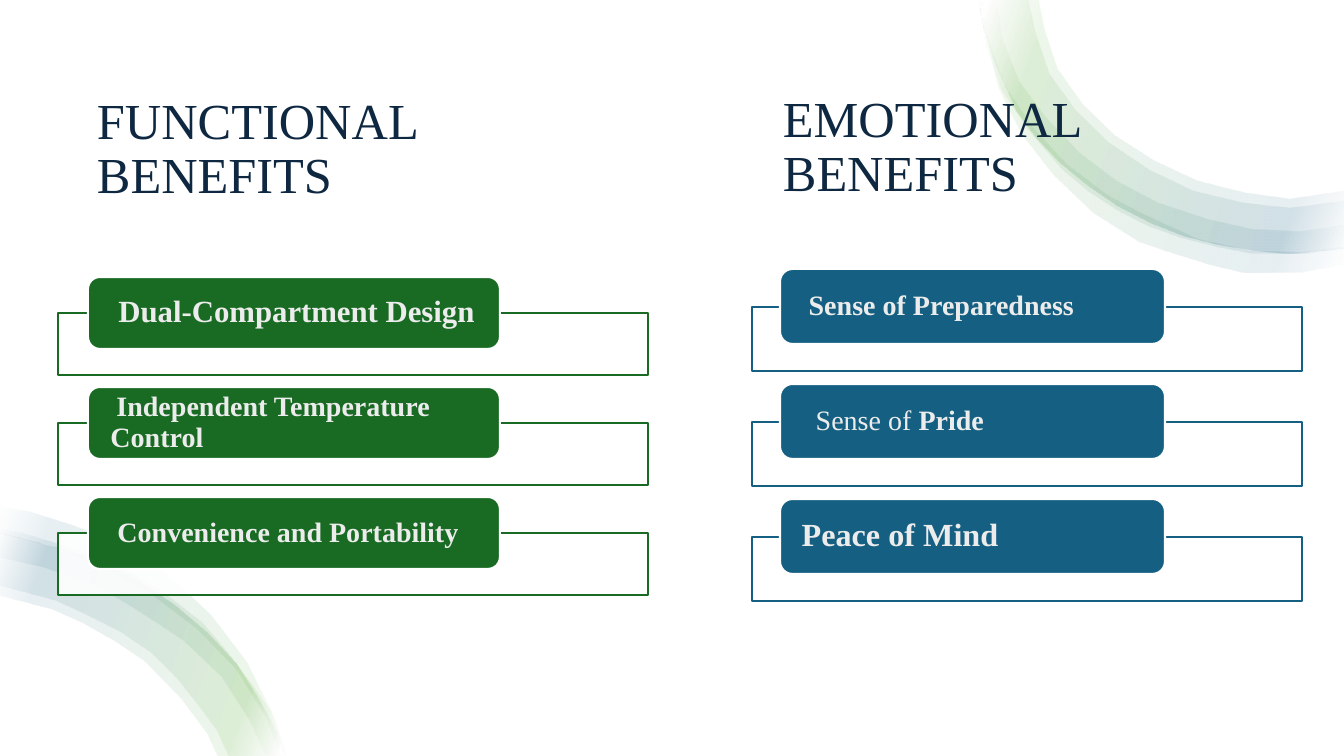
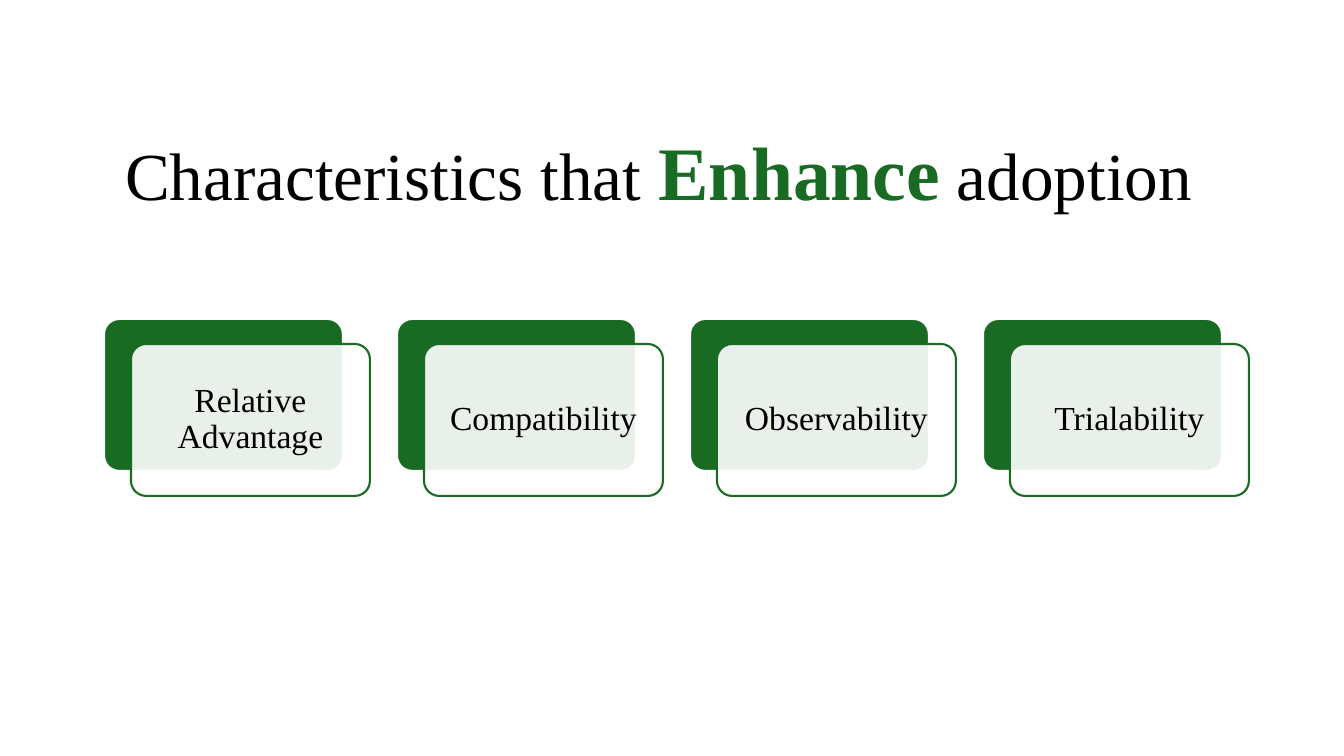
import math

from pptx import Presentation
from pptx import util as u
from pptx.dml.color import RGBColor
from pptx.enum import shapes, text
from pptx.oxml import parse_xml
from pptx.oxml.ns import nsdecls, qn

PX = 914400 / 100.8
WIDTH, HEIGHT = 1344, 756
GREEN, BLUE, NAVY = "196B24", "156082", "0E2841"
WHITE, PALE, BLACK = "FFFFFF", "ECECEC", "000000"
FONT = "Times New Roman"
BAND_STOPS = [(2, WHITE), (16, "4EA72E"), (85, BLUE), (100, WHITE)]
BAND_ALPHA = 10
BOX_ALPHA = 90
CHORD = 40


def rgb(code):
    return RGBColor.from_string(code)


def write_text(shape, runs, color=BLACK, size=24, inset=(10, 5), indent=0,
               align=text.PP_ALIGN.LEFT):
    frame = shape.text_frame
    frame.word_wrap = True
    frame.vertical_anchor = text.MSO_ANCHOR.MIDDLE
    frame.margin_left = frame.margin_right = round(inset[0] * PX)
    frame.margin_top = frame.margin_bottom = round(inset[1] * PX)
    paragraph = frame.paragraphs[0]
    paragraph.alignment = align
    paragraph.line_spacing = 0.9
    paragraph._p.get_or_add_pPr().set("indent", str(round(indent * PX)))
    for words, changes in runs:
        run = paragraph.add_run()
        run.text = words
        run.font.name = FONT
        run.font.size = u.Pt(changes.get("size", size))
        run.font.bold = changes.get("bold", False)
        run.font.color.rgb = rgb(changes.get("color", color))


presentation = Presentation()
presentation.slide_width = round(WIDTH * PX)
presentation.slide_height = round(HEIGHT * PX)
blank = presentation.slide_layouts[6]
benefits = presentation.slides.add_slide(blank)
adoption = presentation.slides.add_slide(blank)

top_edge = [(981, 0), (982, 20), (1017, 111), (1088, 185), (1183, 235),
            (1289, 253), (1344, 247)]
bottom_edge = [(284, 756), (278, 736), (236, 664), (174, 605), (97, 561),
               (0, 534)]
top_bands = [
    (top_edge,
     [(1344, 190), (1289, 198), (1197, 180), (1115, 135), (1058, 69),
      (1039, 0)]),
    (top_edge,
     [(1344, 200), (1289, 207), (1193, 190), (1109, 142), (1050, 74),
      (1029, 0)]),
    ([(981, 0), (986, 43), (1002, 90), (1062, 169), (1148, 226),
      (1249, 253), (1301, 254), (1344, 248)],
     [(1344, 225), (1299, 231), (1252, 229), (1159, 203), (1080, 153),
      (1020, 82), (1003, 39), (997, 0)]),
    ([(979, 0), (999, 88), (1022, 134), (1054, 175), (1094, 213),
      (1140, 242), (1246, 273), (1302, 272), (1344, 264)],
     [(1344, 247), (1300, 252), (1249, 250), (1199, 239), (1108, 195),
      (1067, 164), (1033, 127), (1005, 85), (988, 37), (982, 0)]),
]
bottom_bands = [
    ([(287, 756), (273, 714), (247, 662), (212, 616), (167, 575), (116, 542),
      (29, 512), (0, 508)],
     [(0, 534), (50, 546), (103, 566), (152, 595), (197, 629), (236, 669),
      (266, 717), (281, 756)]),
    (bottom_edge,
     [(0, 596), (53, 610), (144, 661), (207, 734), (217, 756)]),
    ([(285, 756), (270, 711), (202, 623), (157, 588), (107, 560), (24, 534),
      (0, 530)],
     [(0, 558), (44, 568), (95, 586), (183, 641), (221, 677), (249, 721),
      (265, 756)]),
    (bottom_edge,
     [(0, 586), (56, 601), (151, 653), (216, 730), (228, 756)]),
]

for bands, angle in [(top_bands, 340), (bottom_bands, 160)]:
    for edges in bands:
        outline = []
        for edge in edges:
            padded = [edge[0], *edge, edge[-1]]
            for a, b, c, d in zip(padded, padded[1:], padded[2:], padded[3:]):
                steps = max(1, round(math.dist(b, c) / CHORD))
                for step in range(steps):
                    t = step / steps
                    outline.append(tuple(
                        q + t / 2 * (r - p + t * (2 * p - 5 * q + 4 * r - s
                                                  + t * (3 * (q - r) + s - p)))
                        for p, q, r, s in zip(a, b, c, d)))
            outline.append(edge[-1])
        builder = benefits.shapes.build_freeform(*outline[0], scale=PX)
        builder.add_line_segments(outline[1:], close=True)
        band = builder.convert_to_shape()
        band.shadow.inherit = False
        band.line.fill.background()
        band.fill.gradient()
        band.fill.gradient_angle = angle
        stops = band.element.spPr.find(qn("a:gradFill")).find(qn("a:gsLst"))
        for stop in list(stops):
            stops.remove(stop)
        for position, color in BAND_STOPS:
            stops.append(parse_xml(
                f'<a:gs {nsdecls("a")} pos="{position * 1000}">'
                f'<a:srgbClr val="{color}"><a:alpha val="{BAND_ALPHA * 1000}"/>'
                f'</a:srgbClr></a:gs>'))

bold = {"bold": True}
functional = [
    ([("Dual-Compartment Design", bold)], 22, 8),
    ([("Independent Temperature Control", bold)], 20, 6),
    ([("Convenience and Portability", bold)], 20, 7),
]
emotional = [
    ([("Sense of Preparedness", bold)], 20, 7),
    ([("Sense of ", {}), ("Pride", bold)], 20, 14),
    ([("Peace of Mind", bold)], 23, 0),
]
traits = ["Relative Advantage", "Compatibility", "Observability", "Trialability"]

RECT = shapes.MSO_SHAPE.RECTANGLE
ROUND = shapes.MSO_SHAPE.ROUNDED_RECTANGLE
boxes = []
for rows, color, pitch, frame, pill, inset in [
        (functional, GREEN, 110, (58, 313, 590, 62), (88, 277, 412, 72), 19),
        (emotional, BLUE, 115, (752, 307, 550, 64), (780, 269, 385, 75), 18)]:
    for index, (runs, size, indent) in enumerate(rows):
        drop = index * pitch
        style = dict(color=PALE, size=size, inset=(inset, 4), indent=indent)
        boxes.append((benefits, RECT, frame, 0, drop, None, color, None, {}))
        boxes.append((benefits, ROUND, pill, 0, drop, color, WHITE, runs, style))
for index, trait in enumerate(traits):
    shift = index * 293
    style = dict(inset=(14, 14), align=text.PP_ALIGN.CENTER)
    boxes.append((adoption, ROUND, (104, 319, 239, 152), shift, 0,
                  GREEN, WHITE, None, {}))
    boxes.append((adoption, ROUND, (131, 344, 239, 152), shift, 0,
                  None, GREEN, [(trait, {})], style))

for slide, kind, place, shift, drop, fill, line, runs, style in boxes:
    left, top, width, height = place
    box = slide.shapes.add_shape(
        kind, *(round(length * PX)
                for length in (left + shift, top + drop, width, height)))
    box.shadow.inherit = False
    box.fill.solid()
    box.fill.fore_color.rgb = rgb(fill or WHITE)
    if fill is None:
        shade = box.element.spPr.find(qn("a:solidFill"))[0]
        shade.append(parse_xml(
            f'<a:alpha {nsdecls("a")} val="{BOX_ALPHA * 1000}"/>'))
    box.line.color.rgb = rgb(line)
    box.line.width = u.Pt(1.5)
    if slide is adoption:
        box.adjustments[0] = 0.1
    if runs:
        write_text(box, runs, **style)

titles = [
    (benefits, (87, 83, 402, 135), [("FUNCTIONAL BENEFITS", {})], NAVY, 36),
    (benefits, (773, 81, 451, 135), [("EMOTIONAL BENEFITS", {})], NAVY, 36),
    (adoption, (115, 90, 1122, 171),
     [("Characteristics that ", {}),
      ("Enhance", {"size": 54, "color": GREEN, "bold": True}),
      (" adoption", {})], BLACK, 48),
]
for slide, place, runs, color, size in titles:
    title = slide.shapes.add_textbox(*(round(length * PX) for length in place))
    write_text(title, runs, color=color, size=size)

presentation.save("out.pptx")
